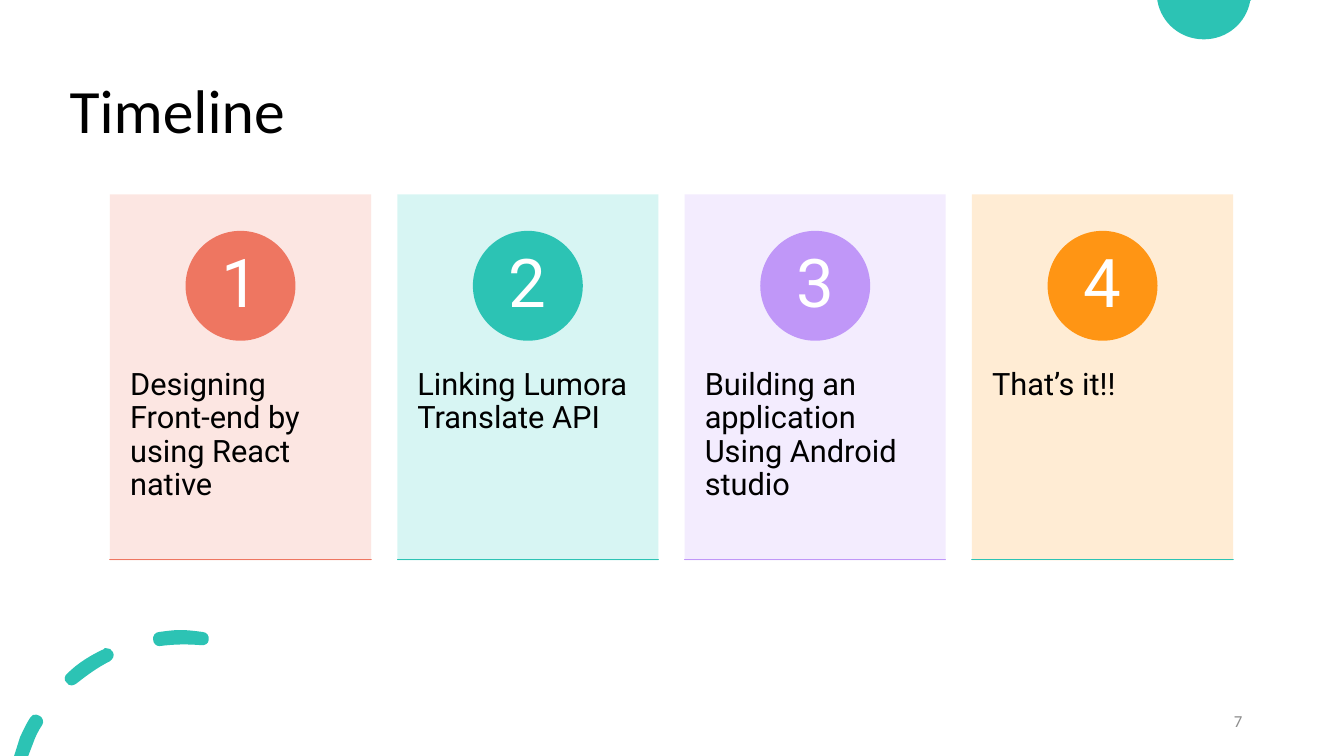
from dataclasses import dataclass

from lxml import etree
from pptx import Presentation
from pptx.dml.color import RGBColor
from pptx.enum.shapes import MSO_SHAPE
from pptx.enum.text import MSO_ANCHOR, MSO_AUTO_SIZE, PP_ALIGN
from pptx.oxml.ns import qn
from pptx.util import Inches, Pt

COLORS = {
    "teal": "2CC3B4", "coral": "EE7661", "violet": "C097F8", "orange": "FF9514",
    "pale teal": "D3F5F2", "pale coral": "FCE4DF", "pale violet": "F2EAFE",
    "pale orange": "FFEAD0", "black": "000000", "white": "FFFFFF", "gray": "8C8C8C",
}
CARD_LEFT, CARD_TOP, CARD_WIDTH, CARD_HEIGHT = 1.09, 1.93, 2.59, 3.63
CARD_STEP = 2.85
CIRCLE_TOP, CIRCLE_SIZE, NUMBER_SIZE = 2.29, 1.09, 0.77
LABEL_TOP, LABEL_HEIGHT = 3.3, 2.18
RULE_TOP = 5.55


@dataclass
class Step:
    label: str
    accent: str
    background: str
    rule: str


@dataclass
class Contour:
    """A start point, then lines (x, y) and cubic curves (six numbers)."""
    start: tuple[float, float]
    segments: list[tuple[float, ...]]


STEPS = [
    Step("Designing Front-end by using React native", "coral", "pale coral", "coral"),
    Step("Linking Lumora Translate API", "teal", "pale teal", "teal"),
    Step("Building an application Using Android studio", "violet", "pale violet", "violet"),
    Step("That’s it!!", "orange", "pale orange", "teal"),
]

TOP_CIRCLE = [Contour((11.48, 0), [
    (12.41, 0), (12.4, 0.01), (12.36, 0.23, 12.17, 0.39, 11.94, 0.39),
    (11.71, 0.39, 11.52, 0.23, 11.48, 0.01)])]

DASHED_ARC = [
    Contour((0.36, 7.09), [
        (0.34, 7.08, 0.31, 7.1, 0.3, 7.12), (0.26, 7.18, 0.23, 7.25, 0.2, 7.31),
        (0.14, 7.5), (0.28, 7.5), (0.33, 7.37),
        (0.35, 7.31, 0.38, 7.25, 0.42, 7.19), (0.44, 7.16, 0.42, 7.11, 0.39, 7.1),
        (0.38, 7.09, 0.37, 7.09, 0.36, 7.09)]),
    Contour((1.05, 6.43), [
        (1.04, 6.43, 1.03, 6.43, 1.03, 6.44), (0.9, 6.5, 0.77, 6.58, 0.67, 6.68),
        (0.64, 6.7, 0.63, 6.75, 0.66, 6.77), (0.67, 6.79, 0.69, 6.8, 0.71, 6.8),
        (0.73, 6.8, 0.74, 6.79, 0.76, 6.78), (0.86, 6.7, 0.97, 6.62, 1.09, 6.56),
        (1.12, 6.54, 1.14, 6.5, 1.12, 6.47), (1.11, 6.44, 1.08, 6.43, 1.05, 6.43)]),
    Contour((1.79, 6.25), [
        (1.72, 6.25, 1.65, 6.26, 1.58, 6.27), (1.54, 6.27, 1.51, 6.31, 1.52, 6.35),
        (1.52, 6.38, 1.55, 6.41, 1.58, 6.41), (1.73, 6.39, 1.86, 6.39, 1.99, 6.4),
        (2.03, 6.41, 2.07, 6.38, 2.07, 6.35), (2.08, 6.31, 2.05, 6.27, 2.01, 6.27),
        (1.94, 6.26, 1.86, 6.25, 1.79, 6.25)]),
]


def rgb(name: str) -> RGBColor:
    return RGBColor.from_string(COLORS[name])


def fill_plain(shape, color: str) -> None:
    shape.shadow.inherit = False
    shape.fill.solid()
    shape.fill.fore_color.rgb = rgb(color)
    shape.line.fill.background()


def add_filled(slide, kind: MSO_SHAPE, left: float, top: float,
               width: float, height: float, color: str):
    shape = slide.shapes.add_shape(kind, Inches(left), Inches(top),
                                   Inches(width), Inches(height))
    fill_plain(shape, color)
    return shape


def add_label(slide, left: float, top: float, width: float, height: float):
    return slide.shapes.add_textbox(Inches(left), Inches(top),
                                    Inches(width), Inches(height))


def set_text(shape, text: str, font_name: str, size: float, color: str,
             align: PP_ALIGN = PP_ALIGN.LEFT, anchor: MSO_ANCHOR = MSO_ANCHOR.MIDDLE,
             spacing: float = 0.9, insets: tuple[float, float] = (0.1, 0.05)) -> None:
    frame = shape.text_frame
    frame.text = text
    frame.word_wrap = True
    frame.auto_size = MSO_AUTO_SIZE.NONE
    frame.vertical_anchor = anchor
    frame.margin_left = frame.margin_right = Inches(insets[0])
    frame.margin_top = frame.margin_bottom = Inches(insets[1])
    paragraph = frame.paragraphs[0]
    paragraph.alignment = align
    paragraph.line_spacing = spacing
    paragraph.font.name = font_name
    paragraph.font.size = Pt(size)
    paragraph.font.color.rgb = rgb(color)


def draw_outline(slide, contours: list[Contour], color: str) -> None:
    # Straight outline through the end points of all segments
    first, *others = contours
    builder = slide.shapes.build_freeform(*map(Inches, first.start))
    for contour in contours:
        if contour in others:
            builder.move_to(*map(Inches, contour.start))
        builder.add_line_segments([(Inches(segment[-2]), Inches(segment[-1]))
                                   for segment in contour.segments])
    shape = builder.convert_to_shape()
    fill_plain(shape, color)

    # Bend the lines that are cubic curves
    segments = [segment for contour in contours for segment in contour.segments]
    lines = list(shape._element.iter(qn("a:lnTo")))
    for line, segment in zip(lines, segments):
        if len(segment) == 2:
            continue
        line.tag = qn("a:cubicBezTo")
        for index in (2, 0):
            point = etree.Element(qn("a:pt"),
                                  x=str(Inches(segment[index]) - shape.left),
                                  y=str(Inches(segment[index + 1]) - shape.top))
            line.insert(0, point)


def draw_step(slide, index: int, step: Step) -> None:
    left = CARD_LEFT + index * CARD_STEP

    # Tinted card, slightly transparent
    card = add_filled(slide, MSO_SHAPE.RECTANGLE, left, CARD_TOP,
                      CARD_WIDTH, CARD_HEIGHT, step.background)
    color = card.fill._xPr.find(qn("a:solidFill"))[0]
    etree.SubElement(color, qn("a:alpha"), val="90000")

    # Step description
    label = add_label(slide, left, LABEL_TOP, CARD_WIDTH, LABEL_HEIGHT)
    set_text(label, step.label, "Roboto", 22, "black",
             anchor=MSO_ANCHOR.TOP, insets=(0.2, 0.36))

    # Circle with the step number
    add_filled(slide, MSO_SHAPE.OVAL, left + (CARD_WIDTH - CIRCLE_SIZE) / 2, CIRCLE_TOP,
               CIRCLE_SIZE, CIRCLE_SIZE, step.accent)
    number = add_label(slide, left + (CARD_WIDTH - NUMBER_SIZE) / 2,
                       CIRCLE_TOP + (CIRCLE_SIZE - NUMBER_SIZE) / 2,
                       NUMBER_SIZE, NUMBER_SIZE)
    set_text(number, str(index + 1), "Roboto", 48, "white",
             align=PP_ALIGN.CENTER, insets=(0.08, 0.01))

    # Flat rule along the bottom of the card
    rule = add_filled(slide, MSO_SHAPE.RECTANGLE, left, RULE_TOP, CARD_WIDTH, 0, step.rule)
    rule.line.color.rgb = rgb(step.rule)
    rule.line.width = Pt(1)


def main() -> None:
    presentation = Presentation()
    presentation.slide_width = Inches(13.33)
    presentation.slide_height = Inches(7.5)
    slide = presentation.slides.add_slide(presentation.slide_layouts[5])

    # Corner decorations
    draw_outline(slide, TOP_CIRCLE, "teal")
    draw_outline(slide, DASHED_ARC, "teal")

    # Title
    title = slide.shapes.title
    title.left, title.top = Inches(0.59), Inches(0.4)
    title.width, title.height = Inches(11.5), Inches(1.45)
    set_text(title, "Timeline", "Calibri", 44, "black")

    # Timeline cards
    for index, step in enumerate(STEPS):
        draw_step(slide, index, step)

    # Page number
    page_number = add_label(slide, 9.42, 6.95, 3, 0.4)
    set_text(page_number, "7", "Calibri", 12, "gray", align=PP_ALIGN.RIGHT, spacing=1.0)

    presentation.save("out.pptx")


if __name__ == "__main__":
    main()
